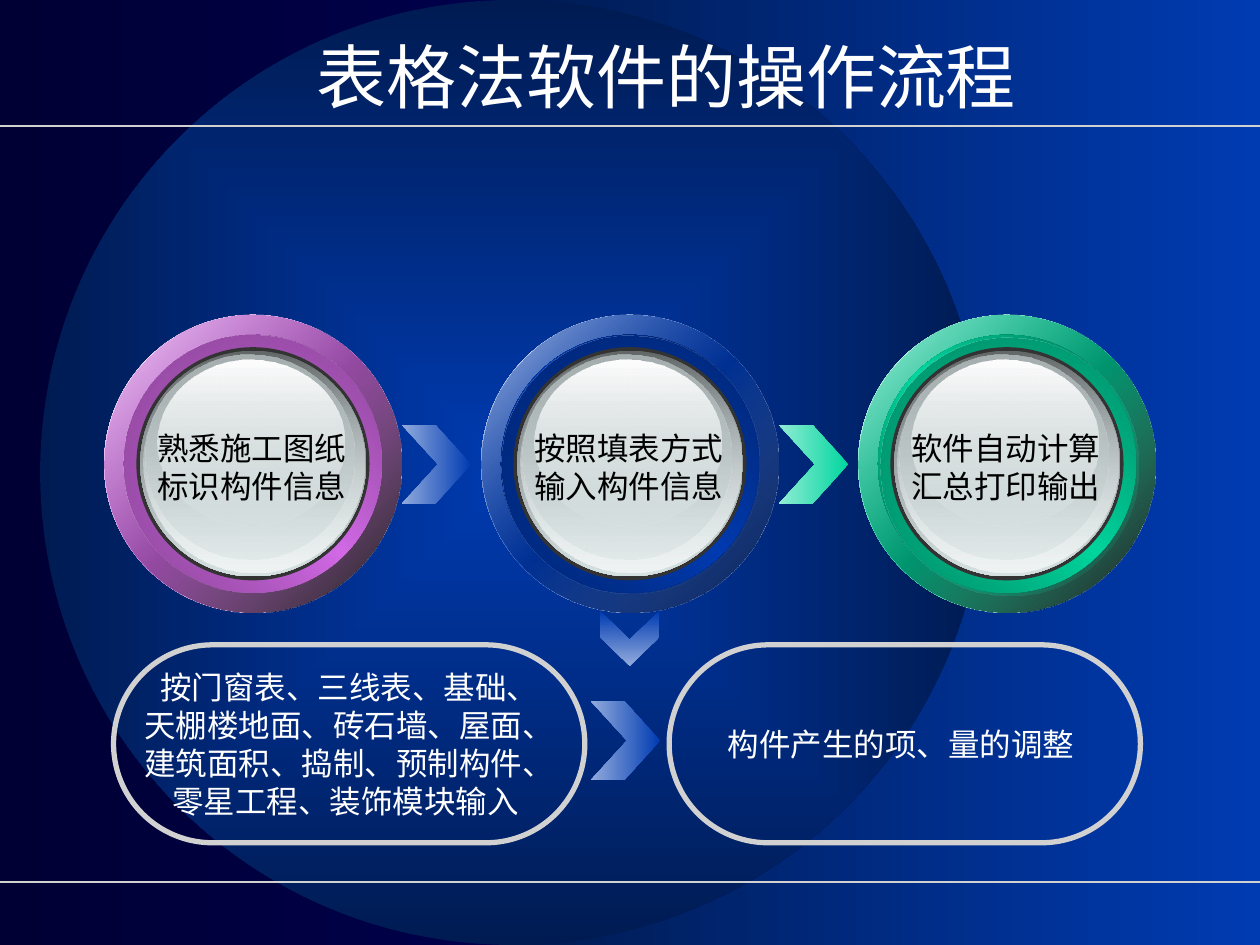
from lxml import etree
from pptx import Presentation
from pptx.dml.color import RGBColor
from pptx.enum.shapes import MSO_CONNECTOR, MSO_SHAPE
from pptx.enum.text import MSO_ANCHOR, PP_ALIGN
from pptx.oxml.ns import qn
from pptx.util import Cm, Pt

LINE = MSO_CONNECTOR.STRAIGHT
RECT, OVAL, PILL = MSO_SHAPE.RECTANGLE, MSO_SHAPE.OVAL, MSO_SHAPE.ROUNDED_RECTANGLE
CENTER, RIGHT = PP_ALIGN.CENTER, PP_ALIGN.RIGHT
MIDDLE, TOP = MSO_ANCHOR.MIDDLE, MSO_ANCHOR.TOP

COLORS = {
    "night": "000072", "midnight": "000034", "blue": "003BB2", "navy": "001B52",
    "ice": "92ABDD", "green": "00D69E", "mint": "92ECD5", "purple": "D46AE8",
    "green_dark": "007355", "green_mid": "008763",
    "purple_dark": "72397D", "purple_mid": "864392",
    "blue_dark": "001F5F", "blue_mid": "002570",
    "rule": "D1D1D1", "white": "FFFFFF", "black": "000000", "shine": "FEFEFE",
    "rim": "333333", "steel": "626768", "silver": "A8B1B2",
    "pearl": "D6E1E2", "frost": "EFF3F3",
}
SLIDE_W, SLIDE_H = 25.4, 19.05
RING_LEFT, RING_TOP, RING_PITCH, RING_SIZE = 2.1, 6.35, 7.6, 6.0
PANEL_LEFT, PANEL_TOP, PANEL_PITCH = 2.29, 13.0, 11.2

# Offset from the ring's corner, size, then (colour, opacity) from top to bottom
BOWL_LAYERS = [
    ((0.73, 0.72, 4.55, 4.55), (("steel", 100), ("pearl", 100))),
    ((0.79, 0.74, 4.45, 4.45), (("pearl", 0), ("frost", 100))),
    ((0.83, 0.79, 4.22, 4.14), (("silver", 100), ("pearl", 48))),
    ((1.08, 0.89, 3.76, 3.35), (("shine", 100), ("pearl", 38))),
]
# Colour, shade of the ring's far edge, shift of the gloss, caption
STAGES = [
    ("purple", "black", 0, ["熟悉施工图纸", "标识构件信息"]),
    ("blue", "navy", 0.02, ["按照填表方式", "输入构件信息"]),
    ("green", "black", 0.06, ["软件自动计算", "汇总打印输出"]),
]
PANELS = [
    ["按门窗表、三线表、基础、", "天棚楼地面、砖石墙、屋面、",
     "建筑面积、捣制、预制构件、", "零星工程、装饰模块输入 "],
    ["构件产生的项、量的调整 "],
]


def rgb(name):
    return RGBColor.from_string(COLORS[name])


def paint_gradient(target, fill, stops, angle=None):
    """Spread (colour, opacity) stops evenly; without an angle, from the centre out."""
    fill.gradient()
    gradient = target.element.find(".//" + qn("a:gradFill"))
    for child in list(gradient):
        gradient.remove(child)
    stop_list = etree.SubElement(gradient, qn("a:gsLst"))
    for i, (color, opacity) in enumerate(stops):
        position = str(100000 * i // (len(stops) - 1))
        stop = etree.SubElement(stop_list, qn("a:gs"), pos=position)
        value = etree.SubElement(stop, qn("a:srgbClr"), val=COLORS[color])
        if opacity < 100:
            etree.SubElement(value, qn("a:alpha"), val=str(opacity * 1000))
    if angle is None:
        center = etree.SubElement(gradient, qn("a:path"), path="rect")
        etree.SubElement(center, qn("a:fillToRect"), l="50000", t="50000", r="50000", b="50000")
    else:
        etree.SubElement(gradient, qn("a:lin"), ang=str(angle * 60000), scaled="0")


def solid_stops(*colors):
    return [(color, 100) for color in colors]


def write_text(frame, lines, size=18, color="white", align=CENTER, anchor=MIDDLE,
               wrap=False, font="Arial"):
    frame.word_wrap = wrap
    frame.vertical_anchor = anchor
    for i, line in enumerate(lines):
        paragraph = frame.add_paragraph() if i else frame.paragraphs[0]
        paragraph.text = line
        paragraph.alignment = align
        paragraph.font.size = Pt(size)
        paragraph.font.name = font
        paragraph.font.color.rgb = rgb(color)


class FlowSlide:
    def __init__(self, slide):
        self.slide = slide
        self.shapes = slide.shapes

    def shape(self, kind, box, stops=None, angle=None, color=None):
        item = self.shapes.add_shape(kind, *map(Cm, box))
        item.shadow.inherit = False
        item.line.fill.background()
        if stops:
            paint_gradient(item, item.fill, stops, angle)
        elif color:
            item.fill.solid()
            item.fill.fore_color.rgb = rgb(color)
        else:
            item.fill.background()
        return item

    def rule(self, y):
        rule = self.shapes.add_connector(LINE, 0, Cm(y), Cm(SLIDE_W), Cm(y))
        rule.line.color.rgb = rgb("rule")
        rule.line.width = Pt(1)
        etree.SubElement(rule.element.spPr, qn("a:effectLst"))

    def text(self, box, lines, **style):
        write_text(self.shapes.add_textbox(*map(Cm, box)).text_frame, lines, **style)

    def backdrop(self):
        paint_gradient(self.slide, self.slide.background.fill,
                       solid_stops("night", "midnight"), 180)
        glow = solid_stops("blue", "navy")
        self.shape(RECT, (10.36, 0, SLIDE_W - 10.36, SLIDE_H), glow, 180)
        self.shape(OVAL, (0.81, 0, SLIDE_H, SLIDE_H), glow)
        for y in (2.54, 17.78):
            self.rule(y)

    def chevron(self, left, top, length=1.4, span=1.6, tip="blue", tail="ice", down=False):
        shoulder = 0.48 * length
        notch = length - shoulder
        outline = [(0, 0), (shoulder, 0), (length, span / 2),
                   (shoulder, span), (0, span), (notch, span / 2)]
        if down:
            outline = [(across, along) for along, across in outline]
        points = [(Cm(left + x), Cm(top + y)) for x, y in outline]
        builder = self.shapes.build_freeform(*points[0])
        builder.add_line_segments(points[1:])
        arrow = builder.convert_to_shape()
        arrow.shadow.inherit = False
        arrow.line.fill.background()
        paint_gradient(arrow, arrow.fill, solid_stops(tip, tail), 90 if down else 180)

    def ring(self, left, top, color, edge, shift, caption):
        def disc(inset, stops=None, angle=None, fill=None, offset=0):
            size = RING_SIZE - 2 * inset
            box = (left + inset + offset, top + inset + offset, size, size)
            self.shape(OVAL, box, stops, angle, fill)

        dark, mid = color + "_dark", color + "_mid"
        disc(0, solid_stops("shine", color, "shine"), 225)
        disc(0, [(edge, 100 if edge == "navy" else 90), (color, 32)], 225)
        disc(0.4, solid_stops(dark, color, dark), 135)
        disc(0.4, [(color, 0), (mid, 100)], 225, offset=shift)
        disc(0.65, fill="rim")
        for (x, y, width, height), stops in BOWL_LAYERS:
            self.shape(OVAL, (left + x, top + y, width, height), stops, 90)
        self.text((left + 0.82, top + 2.18, 4.32, 1.78), caption, color="black", anchor=TOP)

    def panel(self, left, top, lines):
        panel = self.shape(PILL, (left, top, 9.5, 3.99))
        panel.adjustments[0] = 0.5
        panel.line.color.rgb = rgb("rule")
        panel.line.width = Pt(3)
        write_text(panel.text_frame, lines)


def main():
    deck = Presentation()
    deck.slide_width, deck.slide_height = Cm(SLIDE_W), Cm(SLIDE_H)
    flow = FlowSlide(deck.slides.add_slide(deck.slide_layouts[6]))

    flow.backdrop()
    flow.text((0.84, 0.36, 19.89, 2.34), ["表格法软件的操作流程"], size=40, align=RIGHT, wrap=True)

    arrow_left = RING_LEFT + RING_SIZE
    flow.chevron(arrow_left, 8.56)
    flow.chevron(arrow_left + RING_PITCH, 8.56, tip="green", tail="mint")
    for i, stage in enumerate(STAGES):
        flow.ring(RING_LEFT + i * RING_PITCH, RING_TOP, *stage)

    flow.chevron(12.1, 12.32, length=1.1, span=1.19, down=True)
    flow.chevron(11.91, 14.13)
    for i, lines in enumerate(PANELS):
        flow.panel(PANEL_LEFT + i * PANEL_PITCH, PANEL_TOP, lines)

    deck.save("out.pptx")


if __name__ == "__main__":
    main()
